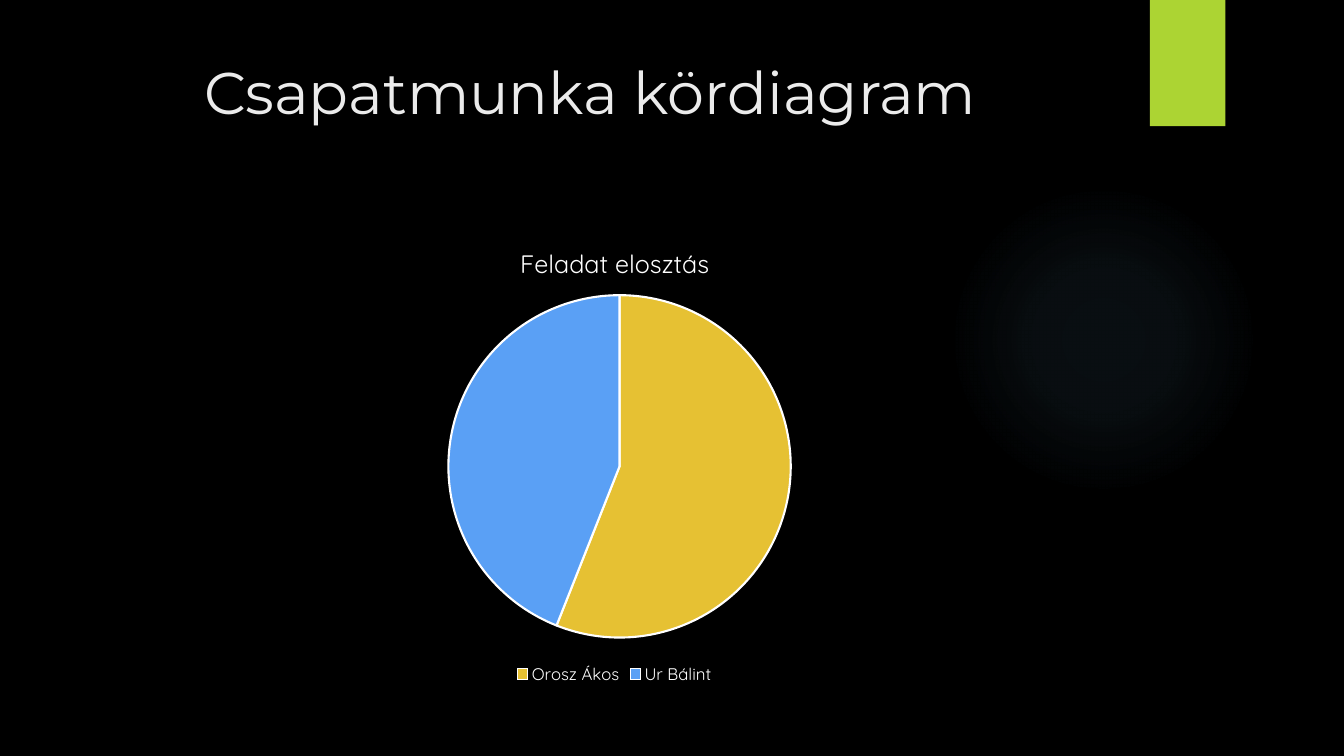
import dataclasses
import typing

import lxml.etree
import pptx
import pptx.chart.data
import pptx.dml.color
import pptx.enum.chart
import pptx.enum.shapes
import pptx.enum.text
import pptx.oxml
import pptx.oxml.ns
import pptx.util

Cm = pptx.util.Cm
Pt = pptx.util.Pt

COLOURS = {
    "background": "000000",
    "glow": "7AC4F0",
    "tab": "ACD433",
    "title": "EBEBEB",
    "white": "FFFFFF",
    "Orosz Ákos": "E6C133",
    "Ur Bálint": "5AA0F5",
}
SHARES = {"Orosz Ákos": 56, "Ur Bálint": 44}
GLOW_STOPS = ((0, 7), (36, 6), (69, 0))
PIE_LAYOUT = {"x": 0.33, "y": 0.15, "w": 0.35, "h": 0.74}


@dataclasses.dataclass(frozen=True)
class Frame:
    left: float
    top: float
    width: float
    height: float

    def lengths(self) -> tuple:
        return Cm(self.left), Cm(self.top), Cm(self.width), Cm(self.height)


@dataclasses.dataclass(frozen=True)
class Decoration:
    kind: typing.Any
    frame: Frame
    colour: str
    effect: str


SHAPES = pptx.enum.shapes.MSO_SHAPE
DECORATIONS = (
    Decoration(SHAPES.OVAL, Frame(23.9, 4.65, 7.82, 7.82), "glow", "gradient"),
    Decoration(SHAPES.RECTANGLE, Frame(28.98, 0, 1.9, 3.18), "tab", "shadow"),
)
TITLE_FRAME = Frame(1.8, 1.27, 26.14, 3.89)
CHART_FRAME = Frame(3.07, 5.69, 24.84, 11.66)


def colour(name: str) -> pptx.dml.color.RGBColor:
    return pptx.dml.color.RGBColor.from_string(COLOURS[name])


def set_all(target: typing.Any, values: dict) -> None:
    for name, value in values.items():
        setattr(target, name, value)


def format_font(font: typing.Any, size: float, name: str, colour_name: str) -> None:
    set_all(font, {"size": Pt(size), "name": name, "bold": False})
    font.color.rgb = colour(colour_name)


def drawing_xml(markup: str) -> typing.Any:
    """Parse markup whose outer element gets the drawing namespaces."""
    head, rest = markup.split(">", 1)
    return pptx.oxml.parse_xml(f"{head} {pptx.oxml.ns.nsdecls('a', 'c')}>{rest}")


def add_decoration(slide: typing.Any, item: Decoration) -> None:
    shape = slide.shapes.add_shape(item.kind, *item.frame.lengths())
    shape.shadow.inherit = False
    shape.line.fill.background()
    shape.fill.solid()
    shape.fill.fore_color.rgb = colour(item.colour)
    properties = shape.element.spPr
    if item.effect == "gradient":
        stops = "".join(
            f'<a:gs pos="{place * 1000}"><a:srgbClr val="{COLOURS[item.colour]}">'
            f'<a:alpha val="{alpha * 1000}"/></a:srgbClr></a:gs>'
            for place, alpha in GLOW_STOPS
        )
        gradient = drawing_xml(
            f'<a:gradFill><a:gsLst>{stops}</a:gsLst><a:path path="circle">'
            '<a:fillToRect l="50000" t="50000" r="50000" b="50000"/>'
            "</a:path></a:gradFill>"
        )
        properties.replace(properties.find(pptx.oxml.ns.qn("a:solidFill")), gradient)
    else:
        shadow = drawing_xml(
            f'<a:outerShdw blurRad="{Pt(3)}" dist="{Pt(2)}" dir="5400000">'
            '<a:srgbClr val="000000"><a:alpha val="45000"/></a:srgbClr></a:outerShdw>'
        )
        properties.find(pptx.oxml.ns.qn("a:effectLst")).append(shadow)


def fill_title(title: typing.Any, text: str) -> None:
    left, top, width, height = TITLE_FRAME.lengths()
    set_all(title, {"left": left, "top": top, "width": width, "height": height})
    frame = title.text_frame
    set_all(frame, {
        "text": text,
        "word_wrap": True,
        "auto_size": pptx.enum.text.MSO_AUTO_SIZE.NONE,
        "vertical_anchor": pptx.enum.text.MSO_ANCHOR.TOP,
    })
    para = frame.paragraphs[0]
    para.alignment = pptx.enum.text.PP_ALIGN.CENTER
    format_font(para.runs[0].font, 42, "Montserrat", "title")


def place_pie(chart: typing.Any) -> None:
    """Fix the pie inside the chart by fractions of the chart's size."""
    modes = '<c:layoutTarget val="inner"/><c:xMode val="edge"/><c:yMode val="edge"/>'
    sizes = "".join(f'<c:{key} val="{value}"/>' for key, value in PIE_LAYOUT.items())
    layout = drawing_xml(
        f"<c:layout><c:manualLayout>{modes}{sizes}</c:manualLayout></c:layout>"
    )
    plot_area = chart.element.find(".//" + pptx.oxml.ns.qn("c:plotArea"))
    for old in plot_area.findall(pptx.oxml.ns.qn("c:layout")):
        plot_area.remove(old)
    plot_area.insert(0, layout)


def add_pie(slide: typing.Any) -> None:
    data = pptx.chart.data.CategoryChartData()
    data.categories = list(SHARES)
    data.add_series("Series 1", list(SHARES.values()))
    kind = pptx.enum.chart.XL_CHART_TYPE.PIE
    chart = slide.shapes.add_chart(kind, *CHART_FRAME.lengths(), data).chart
    format_font(chart.font, 10, "Quicksand", "white")

    chart.has_title = True
    chart.chart_title.include_in_layout = False
    title_frame = chart.chart_title.text_frame
    title_frame.text = "Feladat elosztás"
    format_font(title_frame.paragraphs[0].runs[0].font, 18, "Quicksand", "white")

    chart.has_legend = True
    set_all(chart.legend, {
        "position": pptx.enum.chart.XL_LEGEND_POSITION.BOTTOM,
        "include_in_layout": False,
    })
    format_font(chart.legend.font, 12, "Quicksand", "white")

    plot = chart.plots[0]
    plot.vary_by_categories = True
    for index, person in enumerate(SHARES):
        slice_format = plot.series[0].points[index].format
        slice_format.fill.solid()
        slice_format.fill.fore_color.rgb = colour(person)
        slice_format.line.color.rgb = colour("white")
        slice_format.line.width = Pt(1.5)
    place_pie(chart)


def main() -> None:
    deck = pptx.Presentation()
    set_all(deck, {"slide_width": Cm(33.87), "slide_height": Cm(19.05)})
    slide = deck.slides.add_slide(deck.slide_layouts.get_by_name("Title Only"))
    slide.background.fill.solid()
    slide.background.fill.fore_color.rgb = colour("background")
    for item in DECORATIONS:
        add_decoration(slide, item)
    fill_title(slide.shapes.title, "Csapatmunka kördiagram")
    add_pie(slide)
    deck.save("out.pptx")


if __name__ == "__main__":
    main()
